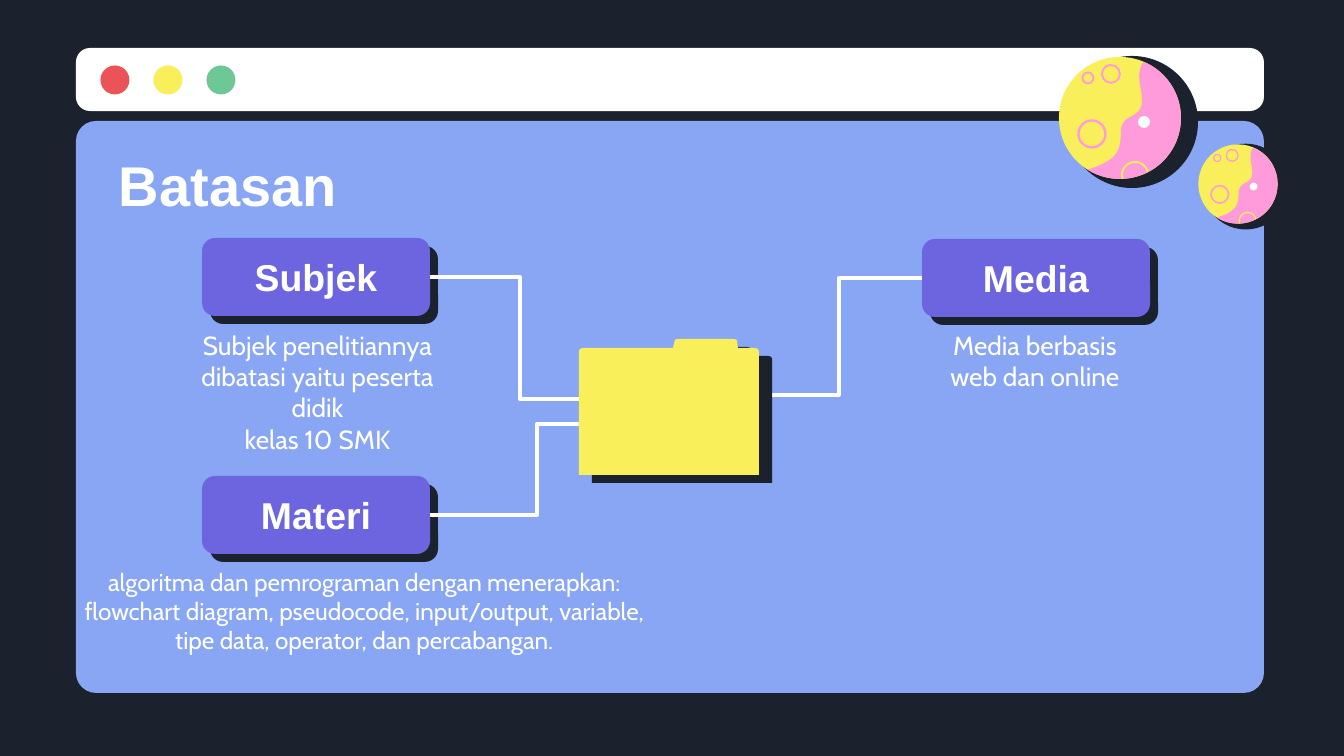
from math import cos, radians, sin

from lxml import etree
from pptx import Presentation
from pptx.dml.color import RGBColor
from pptx.enum.shapes import MSO_CONNECTOR, MSO_SHAPE
from pptx.enum.text import MSO_ANCHOR, PP_ALIGN
from pptx.oxml.ns import qn
from pptx.util import Pt

PX = 914400 / 134.4
ROUND, OVAL = MSO_SHAPE.ROUNDED_RECTANGLE, MSO_SHAPE.OVAL
ELBOW = MSO_CONNECTOR.ELBOW
LEFT, CENTER = PP_ALIGN.LEFT, PP_ALIGN.CENTER
TOP, MIDDLE = MSO_ANCHOR.TOP, MSO_ANCHOR.MIDDLE
COLORS = {
    "dark": "1B222D", "blue": "88A6F3", "white": "FFFFFF", "red": "EB5358",
    "yellow": "F8EF5B", "green": "6DC797", "pink": "FF9BDA", "violet": "6D65E0",
}


def emu(px):
    return round(px * PX)


def color(name):
    return RGBColor.from_string(COLORS[name])


def arc(x, y, r, start, end, steps=40):
    """Points on a circle, from one angle in degrees to another."""
    turns = [radians(start + (end - start) * i / steps) for i in range(steps + 1)]
    return [(x + r * cos(t), y + r * sin(t)) for t in turns]


def curve(a, b, c, d, steps=16):
    """Points on a cubic Bezier curve, without its first point."""
    points = []
    for i in range(1, steps + 1):
        t = i / steps
        u = 1 - t
        parts = (u**3, 3 * u * u * t, 3 * u * t * t, t**3)
        points.append(tuple(sum(k * p[n] for k, p in zip(parts, (a, b, c, d)))
                            for n in (0, 1)))
    return points


class Deck:
    def __init__(self, wide, high):
        self.prs = Presentation()
        self.prs.slide_width, self.prs.slide_height = emu(wide), emu(high)
        self.slide = self.prs.slides.add_slide(self.prs.slide_layouts[6])
        self.shapes = self.slide.shapes
        fill = self.slide.background.fill
        fill.solid()
        fill.fore_color.rgb = color("dark")

    def paint(self, shape, fill=None, line=None, width=1):
        shape.shadow.inherit = False
        if fill:
            shape.fill.solid()
            shape.fill.fore_color.rgb = color(fill)
        else:
            shape.fill.background()
        if line:
            shape.line.color.rgb = color(line)
            shape.line.width = Pt(width)
        else:
            shape.line.fill.background()
        return shape

    def box(self, x, y, w, h, fill, bend):
        shape = self.shapes.add_shape(ROUND, emu(x), emu(y), emu(w), emu(h))
        shape.adjustments[0] = bend
        return self.paint(shape, fill)

    def disc(self, x, y, size, fill=None, line=None, width=1):
        """Circle around the point x, y."""
        shape = self.shapes.add_shape(OVAL, emu(x - size / 2), emu(y - size / 2),
                                      emu(size), emu(size))
        return self.paint(shape, fill, line, width)

    def free(self, points, fill=None, line=None, width=1):
        """Outline through points; closed only when it has a fill."""
        spots = [(emu(x), emu(y)) for x, y in points]
        build = self.shapes.build_freeform(*spots[0], scale=1.0)
        build.add_line_segments(spots[1:], close=bool(fill))
        return self.paint(build.convert_to_shape(), fill, line, width)

    def label(self, frame, text, size, font="Cabin", bold=False,
              align=CENTER, anchor=TOP):
        frame.word_wrap = True
        frame.vertical_anchor = anchor
        frame.margin_left = frame.margin_right = emu(13)
        frame.margin_top = frame.margin_bottom = emu(13)
        frame.text = text
        for para in frame.paragraphs:
            para.alignment = align
            para.font.size = Pt(size)
            para.font.name = font
            para.font.bold = bold
            para.font.color.rgb = color("white")

    def text(self, x, y, w, h, text, size, **style):
        area = self.shapes.add_textbox(emu(x), emu(y), emu(w), emu(h))
        self.label(area.text_frame, text, size, **style)

    def card(self, x, y, text):
        self.box(x + 8, y + 8, 228, 78, "dark", 0.167)
        front = self.box(x, y, 228, 78, "violet", 0.167)
        self.label(front.text_frame, text, 20, font="Arial", bold=True, anchor=MIDDLE)

    def link(self, x1, y1, x2, y2):
        wire = self.shapes.add_connector(ELBOW, emu(x1), emu(y1), emu(x2), emu(y2))
        wire.line.color.rgb = color("white")
        wire.line.width = Pt(2.25)
        etree.SubElement(wire._element.spPr, qn("a:effectLst"))

    def planet(self, x, y, scale):
        def place(points):
            return [(x + scale * a, y + scale * b) for a, b in points]

        def spot(a, b, size, **look):
            self.disc(*place([(a, b)])[0], scale * size, **look)

        spot(12, 4, 132, fill="dark")
        spot(0, 0, 122, fill="yellow")
        for a, b, size, width in ((-9, -44, 18, 1), (-32, -40, 11, 1), (-28, 16, 27, 1.25)):
            spot(a, b, size, line="pink", width=width * scale)
        land = arc(0, 0, 61, -67, 122)
        land += curve(land[-1], (-6, 43), (1, 36), (1, 14))
        land += curve((1, 14), (1, -9), (28, 6), (21, -28))
        land += curve((21, -28), (18, -42), (19, -50), land[0])
        self.free(place(land), fill="pink")
        self.free(place(arc(15, 57, 13, 163, 345)), line="yellow", width=scale)
        spot(24, 4, 12, fill="white")

    def folder(self):
        shape = self.free([
            (579, 475), (579, 351), (580, 349), (583, 348), (673, 348), (675, 340),
            (677, 339), (734, 339), (737, 340), (738, 348), (755, 348), (758, 349),
            (759, 351), (759, 475)], fill="yellow")
        effects = shape._element.spPr.find(qn("a:effectLst"))
        shade = etree.SubElement(effects, qn("a:outerShdw"), blurRad="0",
                                 dist=str(Pt(8.2)), dir=str(31 * 60000),
                                 algn="bl", rotWithShape="0")
        etree.SubElement(shade, qn("a:srgbClr"), val=COLORS["dark"])


def main():
    deck = Deck(1344, 756)
    deck.box(76, 121, 1188, 572, "blue", 0.035)
    deck.box(76, 48, 1188, 63, "white", 0.223)
    for i, name in enumerate(("red", "yellow", "green")):
        deck.disc(115 + 53 * i, 80, 29, fill=name)
    deck.planet(1120, 118, 1)
    deck.planet(1238, 184, 0.65)

    deck.text(106, 142, 1133, 84, "Batasan", 30, font="Arial", bold=True,
              align=LEFT, anchor=MIDDLE)
    deck.card(202, 476, "Materi")
    deck.text(60, 554, 608, 112,
              "algoritma dan pemrograman dengan menerapkan: flowchart diagram, "
              "pseudocode, input/output, variable, tipe data, operator, dan "
              "percabangan.", 13)
    deck.card(202, 238, "Subjek")
    deck.text(162, 316, 311, 112,
              "Subjek penelitiannya dibatasi yaitu peserta didik\nkelas 10 SMK", 14)
    deck.card(922, 239, "Media")
    deck.text(935, 316, 200, 112, "Media berbasis web dan online", 14)

    deck.link(430, 277, 610, 399)
    deck.link(430, 515, 644, 424)
    deck.link(922, 278, 756, 395)
    deck.folder()
    deck.prs.save("out.pptx")


if __name__ == "__main__":
    main()
